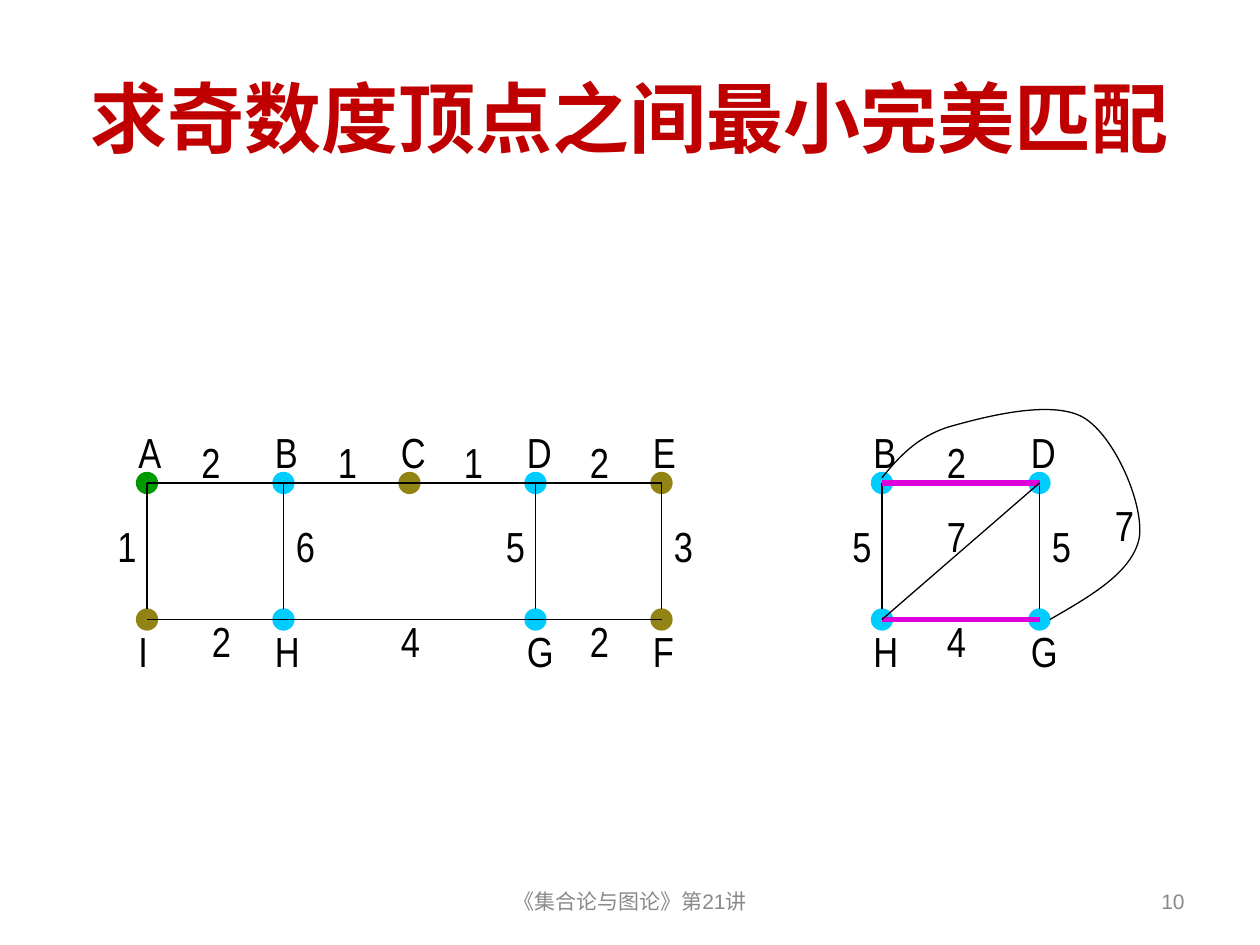
from dataclasses import dataclass

from lxml import etree
from pptx import Presentation
from pptx.dml.color import RGBColor
from pptx.enum import shapes, text
from pptx.oxml import ns
from pptx.util import Pt

BLACK, RED, GREY = "000000", "C00000", "898989"
GREEN, OLIVE, CYAN, MAGENTA = "009900", "918415", "00CCFF", "DD00DD"
TOP, BOTTOM = 276, 354  # rows of vertices
RADIUS, LABEL = 6, 36


@dataclass
class Vertex:
    name: str
    x: float
    y: float
    color: str


@dataclass
class Edge:
    x1: float
    y1: float
    x2: float
    y2: float
    color: str = BLACK
    width: float = 0.75


@dataclass
class Weight:
    value: str
    left: float
    top: float


def rgb(color: str) -> RGBColor:
    return RGBColor.from_string(color)


def add_text(s, content: str, box: tuple, size: float, font: str, color: str,
             align=text.PP_ALIGN.LEFT, anchor=text.MSO_ANCHOR.MIDDLE, bold=False):
    tf = s.shapes.add_textbox(*map(Pt, box)).text_frame
    tf.word_wrap = True
    tf.vertical_anchor = anchor
    p = tf.paragraphs[0]
    p.text = content
    p.alignment = align
    p.font.size, p.font.name, p.font.bold = Pt(size), font, bold
    p.font.color.rgb = rgb(color)
    return tf


def add_label(s, content: str, left: float, top: float) -> None:
    tf = add_text(s, content, (left, top, LABEL, LABEL), 24, "Arial Narrow", BLACK,
                  anchor=text.MSO_ANCHOR.TOP)
    tf.auto_size = text.MSO_AUTO_SIZE.SHAPE_TO_FIT_TEXT
    tf.paragraphs[0].space_before = Pt(15)


def add_vertex(s, v: Vertex) -> None:
    sp = s.shapes.add_shape(shapes.MSO_SHAPE.OVAL, Pt(v.x - RADIUS), Pt(v.y - RADIUS),
                            Pt(2 * RADIUS), Pt(2 * RADIUS))
    sp.shadow.inherit = False
    sp.fill.solid()
    sp.fill.fore_color.rgb = sp.line.color.rgb = rgb(v.color)
    sp.line.width = Pt(0.75)


def add_edge(s, e: Edge) -> None:
    line = s.shapes.add_connector(shapes.MSO_CONNECTOR.STRAIGHT,
                                  Pt(e.x1), Pt(e.y1), Pt(e.x2), Pt(e.y2))
    line.line.color.rgb = rgb(e.color)
    line.line.width = Pt(e.width)
    etree.SubElement(line._element.spPr, ns.qn("a:effectLst"))


def add_curve(s, points: list) -> None:
    """Draw a Bézier path: a start point, then three points per segment."""
    start, *rest = [(Pt(x), Pt(y)) for x, y in points]
    builder = s.shapes.build_freeform(*start)
    builder.add_line_segments(rest, close=False)
    sp = builder.convert_to_shape()
    sp.shadow.inherit = False
    sp.fill.background()
    sp.line.color.rgb = rgb(BLACK)
    sp.line.width = Pt(0.75)
    # Join each three straight steps into one cubic segment
    steps = list(sp._element.iter(ns.qn("a:lnTo")))
    outline = steps[0].getparent()
    for i in range(0, len(steps), 3):
        cubic = etree.SubElement(outline, ns.qn("a:cubicBezTo"))
        for step in steps[i:i + 3]:
            cubic.append(step[0])
            outline.remove(step)


def add_graph(s, vertices: list, edges: list, weights: list) -> None:
    for v in vertices:
        add_vertex(s, v)
    for e in edges:
        add_edge(s, e)
    for v in vertices:
        add_label(s, v.name, v.x - 12, TOP - LABEL if v.y == TOP else BOTTOM)
    for w in weights:
        add_label(s, w.value, w.left, w.top)


def uprights(*columns: float) -> list:
    return [Edge(x, TOP, x, BOTTOM - RADIUS) for x in columns]


def weight_row(top: float, **columns) -> list:
    return [Weight(value, left, top) for value, left in columns["items"]]


def main() -> None:
    prs = Presentation()
    prs.slide_width, prs.slide_height = Pt(720), Pt(540)
    s = prs.slides.add_slide(prs.slide_layouts[6])
    above, beside, below = TOP - 30, 294, BOTTOM - 6  # tops of weight rows

    # Title
    add_text(s, "求奇数度顶点之间最小完美匹配", (36, 21.6, 648, 90), 44, "Calibri", RED,
             text.PP_ALIGN.CENTER, bold=True)

    # Whole graph
    a, b, c, d, e = 84, 162, 234, 306, 378
    add_graph(
        s,
        [Vertex("A", a, TOP, GREEN), Vertex("B", b, TOP, CYAN), Vertex("C", c, TOP, OLIVE),
         Vertex("D", d, TOP, CYAN), Vertex("E", e, TOP, OLIVE), Vertex("I", a, BOTTOM, OLIVE),
         Vertex("H", b, BOTTOM, CYAN), Vertex("G", d, BOTTOM, CYAN),
         Vertex("F", e, BOTTOM, OLIVE)],
        uprights(a, b, d, e) + [Edge(a, y, e, y) for y in (BOTTOM, TOP)],
        weight_row(beside, items=[("1", a - 24), ("6", b), ("5", d - 24), ("3", e)])
        + weight_row(above, items=[("2", a + 24), ("1", b + 24), ("1", c + 24), ("2", d + 24)])
        + weight_row(below, items=[("2", 114), ("4", 222), ("2", 330)]))

    # Odd-degree vertices with the minimum perfect matching
    left, right, middle = 504, 594, 534
    add_graph(
        s,
        [Vertex("B", left, TOP, CYAN), Vertex("D", right, TOP, CYAN),
         Vertex("H", left, BOTTOM, CYAN), Vertex("G", right, BOTTOM, CYAN)],
        uprights(left, right)
        + [Edge(left, y, right, y, MAGENTA, 3) for y in (TOP, BOTTOM)]
        + [Edge(left, BOTTOM, right, TOP)],
        weight_row(beside, items=[("5", left - 24), ("5", right)])
        + [Weight("2", middle, above), Weight("4", middle, below),
           Weight("7", middle, 288), Weight("7", 630, 282)])
    add_curve(s, [(600, 354), (623.5, 340.5), (647, 327), (651, 307.5),
                  (654, 288.5), (637, 249), (619, 238.5),
                  (600.5, 228), (561.5, 238.5), (542, 244),
                  (523.5, 250), (513.5, 261.5), (504, 273)])

    # Footer and slide number
    add_text(s, "《集合论与图论》第21讲", (246, 500.5, 228, 28.75), 12, "Arial", GREY,
             text.PP_ALIGN.CENTER)
    add_text(s, "10", (516, 500.5, 168, 28.75), 12, "Arial", GREY, text.PP_ALIGN.RIGHT)

    prs.save("out.pptx")


if __name__ == "__main__":
    main()
